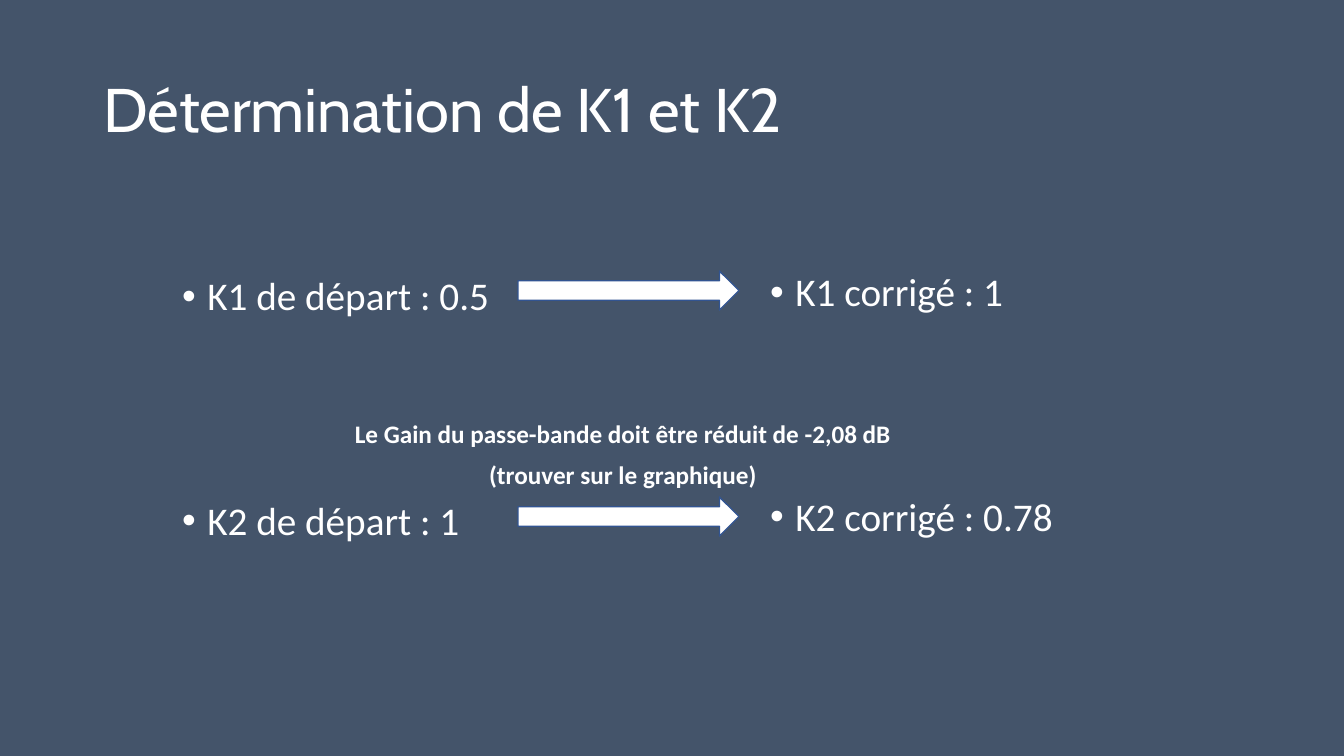
from pptx import Presentation, util as u
from pptx.dml.color import RGBColor
from pptx.enum import shapes, text

TITLE = "Détermination de K1 et K2"
COLUMNS = [
    ((172, 272), ["K1 de départ : 0.5", "K2 de départ : 1"]),
    ((760, 268), ["K1 corrigé : 1", "K2 corrigé : 0.78"]),
]
NOTE = ["Le Gain du passe-bande doit être réduit de -2,08 dB",
        "(trouver sur le graphique)"]

SLATE = RGBColor(0x44, 0x54, 0x6A)
WHITE = RGBColor(0xFF, 0xFF, 0xFF)
BLUE = RGBColor(0x32, 0x54, 0x91)

PX = 914400 / 100.8
ROW_GAP = 226
ARROW = (518, 271, 221, 39)


def px(*lengths):
    return [u.Emu(round(n * PX)) for n in lengths]


def place(sp, *box):
    sp.left, sp.top, sp.width, sp.height = px(*box)


def write(sp, lines, font, size, align, gaps, bold=False):
    """Fill a text frame; gaps holds the space before each line in points."""
    tf = sp.text_frame
    tf.word_wrap = True
    tf.auto_size = text.MSO_AUTO_SIZE.NONE
    tf.text = "\n".join(lines)
    for p, gap in zip(tf.paragraphs, gaps):
        p.alignment = align
        p.line_spacing = 0.9
        p.space_before = u.Pt(gap)
        p.font.name, p.font.size, p.font.bold = font, u.Pt(size), bold
        p.font.color.rgb = WHITE
    return tf


def main():
    prs = Presentation()
    prs.slide_width, prs.slide_height = px(1344, 756)
    s = prs.slides.add_slide(prs.slide_layouts.get_by_name("Two Content"))
    s.background.fill.solid()
    s.background.fill.fore_color.rgb = SLATE
    left = text.PP_ALIGN.LEFT

    title = s.shapes.title
    place(title, 93, 40, 1159, 146)
    tf = write(title, [TITLE], "Cabin", 44, left, [0])
    tf.vertical_anchor = text.MSO_ANCHOR.MIDDLE

    for idx, ((x, y), lines) in enumerate(COLUMNS, start=1):
        body = s.placeholders[idx]
        place(body, x, y, 411, 488)
        tf = write(body, lines, "Calibri", 28, left, [10, 130])
        for p in tf.paragraphs:
            pPr = p._p.get_or_add_pPr()
            pPr.set("marL", str(u.Inches(0.25)))
            pPr.set("indent", str(-u.Inches(0.25)))

    x, y, w, h = ARROW
    for row in range(2):
        arrow = s.shapes.add_shape(shapes.MSO_SHAPE.RIGHT_ARROW,
                                   *px(x, y + row * ROW_GAP, w, h))
        arrow.shadow.inherit = False
        arrow.fill.solid()
        arrow.fill.fore_color.rgb = WHITE
        arrow.line.color.rgb = BLUE
        arrow.line.width = u.Pt(1)

    note = s.shapes.add_textbox(*px(172, 417, 902, 79))
    write(note, NOTE, "Calibri", 18, text.PP_ALIGN.CENTER, [10, 10], bold=True)

    prs.save("out.pptx")


if __name__ == "__main__":
    main()
